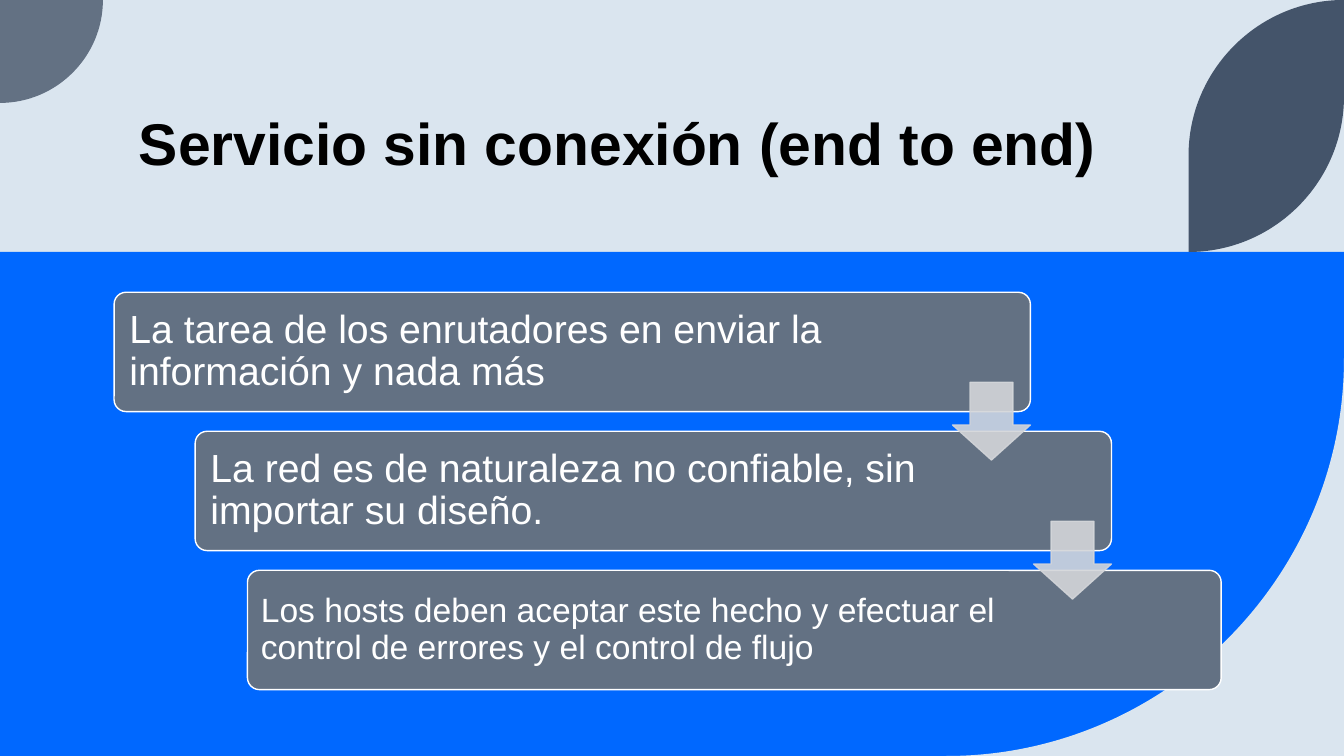
import pptx
import pptx.dml.color
import pptx.enum.shapes
import pptx.enum.text
import pptx.oxml.ns
import pptx.util
from lxml import etree

Pt = pptx.util.Pt
RGBColor = pptx.dml.color.RGBColor
MSO_SHAPE = pptx.enum.shapes.MSO_SHAPE
MSO_ANCHOR = pptx.enum.text.MSO_ANCHOR
qn = pptx.oxml.ns.qn

PALE = RGBColor(0xDA, 0xE5, 0xEF)
BLUE = RGBColor(0x00, 0x68, 0xFF)
SLATE = RGBColor(0x63, 0x71, 0x83)
NAVY = RGBColor(0x44, 0x54, 0x6A)
SILVER = RGBColor(0xD3, 0xD5, 0xD9)
WHITE = RGBColor(0xFF, 0xFF, 0xFF)
BLACK = RGBColor(0x00, 0x00, 0x00)

WIDTH, HEIGHT = 960, 540
BAND_TOP = 180
STEP_TOP, STEP_PITCH, STEP_HEIGHT = 208.8, 99.3, 85.2
ARROW_SIZE, ARROW_DROP = 55.6, 64.2
ARC_PULL = 0.55  # how far a quarter arc's handles reach towards its corner

# left, width, font size, inset, right inset, text
STEPS = [
    (81.5, 654.5, 28, 8.4, 94,
     "La tarea de los enrutadores en enviar la información y nada más"),
    (139.4, 654.5, 28, 8.4, 122,
     "La red es de naturaleza no confiable, sin importar su diseño."),
    (176.8, 695.5, 24, 7.2, 128,
     "Los hosts deben aceptar este hecho y efectuar el control de errores "
     "y el control de flujo"),
]


def paint(sp, fill, line=None):
    sp.shadow.inherit = False
    sp.fill.solid()
    sp.fill.fore_color.rgb = fill
    if line is None:
        sp.line.fill.background()
    else:
        sp.line.color.rgb = line
        sp.line.width = Pt(1)


def add_block(s, kind, left, top, width, height, fill, line=None, adjust=()):
    sp = s.shapes.add_shape(kind, Pt(left), Pt(top), Pt(width), Pt(height))
    for i, value in enumerate(adjust):
        sp.adjustments[i] = value
    paint(sp, fill, line)
    return sp


def add_outline(s, points, arcs, fill):
    """Draw a closed outline; arcs maps a point's index to the corner its arc rounds."""
    points = [(Pt(x), Pt(y)) for x, y in points]
    builder = s.shapes.build_freeform(*points[0])
    builder.add_line_segments(points[1:], close=True)
    sp = builder.convert_to_shape()
    paint(sp, fill)
    segments = list(sp._element.spPr.iter(qn("a:lnTo")))
    for i, (x, y) in arcs.items():
        corner = Pt(x), Pt(y)
        handles = [[a + ARC_PULL * (c - a) for a, c in zip(end, corner)]
                   for end in (points[i - 1], points[i])]
        segment = segments[i - 1]
        segment.tag = qn("a:cubicBezTo")
        for n, (hx, hy) in enumerate(handles):
            pt = etree.Element(qn("a:pt"), x=str(round(hx - sp.left)),
                               y=str(round(hy - sp.top)))
            segment.insert(n, pt)


def set_text(sp, text, size, color, bold=False, spacing=1.0,
             anchor=MSO_ANCHOR.MIDDLE, inset=7.2, right=7.2, vertical=3.6):
    tf = sp.text_frame
    tf.word_wrap = True
    tf.auto_size = pptx.enum.text.MSO_AUTO_SIZE.NONE
    tf.vertical_anchor = anchor
    tf.margin_left, tf.margin_right = Pt(inset), Pt(right)
    tf.margin_top = tf.margin_bottom = Pt(vertical)
    p = tf.paragraphs[0]
    p.alignment = pptx.enum.text.PP_ALIGN.LEFT
    p.line_spacing = spacing
    r = p.add_run()
    r.text = text
    r.font.name = "Arial"
    r.font.size = Pt(size)
    r.font.bold = bold
    r.font.color.rgb = color


def set_opacity(sp, percent):
    """Apply the opacity to both fill and line."""
    for clr in sp._element.spPr.iter(qn("a:srgbClr")):
        etree.SubElement(clr, qn("a:alpha"), val=str(percent * 1000))


def add_backdrop(s):
    s.background.fill.solid()
    s.background.fill.fore_color.rgb = PALE
    add_block(s, MSO_SHAPE.RECTANGLE, 0, BAND_TOP, WIDTH, HEIGHT - BAND_TOP, BLUE)

    cut = 284
    corner = (WIDTH, HEIGHT)
    add_outline(s, [(WIDTH, HEIGHT - cut), (WIDTH - cut, HEIGHT), corner],
                {1: corner}, PALE)

    quarter = 73.5
    add_outline(s, [(0, 0), (quarter, 0), (0, quarter)],
                {2: (quarter, quarter)}, SLATE)

    leaf = 111
    left = WIDTH - leaf
    add_outline(s, [(left, leaf), (WIDTH, 0), (WIDTH, BAND_TOP - leaf),
                    (left, BAND_TOP)],
                {1: (left, 0), 3: (WIDTH, BAND_TOP)}, NAVY)


def add_title(s, text):
    sp = s.shapes.title
    sp.left, sp.top, sp.width, sp.height = Pt(92), Pt(3.6), Pt(770), Pt(126)
    set_text(sp, text, 42, BLACK, bold=True, spacing=0.8, anchor=MSO_ANCHOR.BOTTOM)


def add_steps(s):
    for i, (left, width, size, inset, right, text) in enumerate(STEPS):
        sp = add_block(s, MSO_SHAPE.ROUNDED_RECTANGLE, left,
                       STEP_TOP + i * STEP_PITCH, width, STEP_HEIGHT,
                       SLATE, WHITE, [0.1])
        set_text(sp, text, size, WHITE, spacing=0.9, inset=inset, right=right,
                 vertical=inset)
    for i, (left, width, *_) in enumerate(STEPS[:-1]):
        arrow = add_block(s, MSO_SHAPE.DOWN_ARROW, left + width - ARROW_SIZE,
                          STEP_TOP + i * STEP_PITCH + ARROW_DROP,
                          ARROW_SIZE, ARROW_SIZE, SILVER, SILVER, [0.55, 0.45])
        set_opacity(arrow, 90)


def main():
    prs = pptx.Presentation()
    prs.slide_width, prs.slide_height = Pt(WIDTH), Pt(HEIGHT)
    s = prs.slides.add_slide(prs.slide_layouts.get_by_name("Title Only"))
    add_backdrop(s)
    add_title(s, "Servicio sin conexión (end to end)")
    add_steps(s)
    prs.save("out.pptx")


if __name__ == "__main__":
    main()
